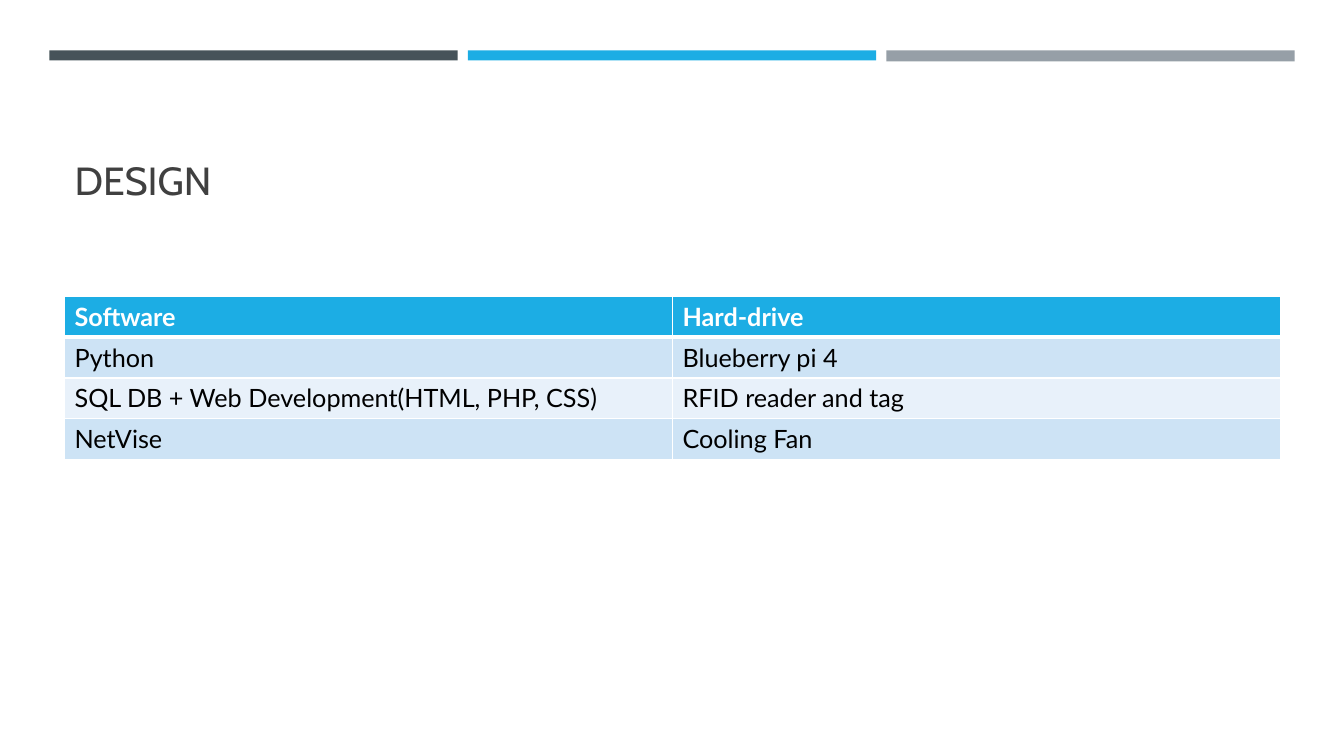
from dataclasses import dataclass

from lxml.etree import SubElement
from pptx import Presentation
from pptx.dml.color import RGBColor
from pptx.enum.shapes import MSO_SHAPE
from pptx.enum.text import MSO_ANCHOR, PP_ALIGN
from pptx.oxml.ns import qn
from pptx.slide import Slide
from pptx.table import _Cell
from pptx.text.text import _Paragraph
from pptx.util import Inches, Pt

SLATE = RGBColor(0x46, 0x53, 0x59)
BLUE = RGBColor(0x1C, 0xAD, 0xE4)
GRAY = RGBColor(0x96, 0x9F, 0xA7)
TITLE_GRAY = RGBColor(0x40, 0x40, 0x40)
WHITE = RGBColor(0xFF, 0xFF, 0xFF)
BLACK = RGBColor(0x00, 0x00, 0x00)
BAND_DARK = RGBColor(0xCD, 0xE3, 0xF5)
BAND_LIGHT = RGBColor(0xE8, 0xF1, 0xFA)

LEFT, CONTENT_WIDTH = 0.64, 12.06
TABLE_TOP, TABLE_HEIGHT = 2.94, 1.62
BAR_LEFT, BAR_TOP, BAR_WIDTH, BAR_STEP = 0.49, 0.5, 4.05, 4.15

COMPONENTS = [
    ("Software", "Hard-drive"),
    ("Python", "Blueberry pi 4"),
    ("SQL DB + Web Development(HTML, PHP, CSS)", "RFID reader and tag"),
    ("NetVise", "Cooling Fan"),
]


@dataclass(frozen=True)
class Bar:
    color: RGBColor
    height: float


@dataclass(frozen=True)
class TextStyle:
    font: str
    size: float
    color: RGBColor
    bold: bool = False


BARS = [Bar(SLATE, 0.1), Bar(BLUE, 0.1), Bar(GRAY, 0.11)]
TITLE_STYLE = TextStyle("Cabin", 28, TITLE_GRAY)
HEADER_STYLE = TextStyle("Lato", 18, WHITE, bold=True)
BODY_STYLE = TextStyle("Lato", 18, BLACK)


def add_text(paragraph: _Paragraph, text: str, style: TextStyle) -> None:
    run = paragraph.add_run()
    run.text = text
    run.font.name = style.font
    run.font.size = Pt(style.size)
    run.font.bold = style.bold
    run.font.color.rgb = style.color


def add_bar(slide: Slide, bar: Bar, left: float) -> None:
    shape = slide.shapes.add_shape(
        MSO_SHAPE.RECTANGLE, Inches(left), Inches(BAR_TOP), Inches(BAR_WIDTH), Inches(bar.height)
    )
    shape.shadow.inherit = False
    shape.fill.solid()
    shape.fill.fore_color.rgb = bar.color
    shape.line.fill.background()


def set_borders(cell: _Cell, top: float, bottom: float) -> None:
    properties = cell._tc.get_or_add_tcPr()
    widths = {"a:lnL": 1, "a:lnR": 1, "a:lnT": top, "a:lnB": bottom}
    for position, (tag, width) in enumerate(widths.items()):
        line = SubElement(properties, qn(tag), w=str(Pt(width)))
        fill = SubElement(line, qn("a:solidFill"))
        SubElement(fill, qn("a:srgbClr"), val=str(WHITE))
        properties.insert(position, line)


def add_title(slide: Slide, text: str) -> None:
    title = slide.shapes.title
    title.left, title.top = Inches(LEFT), Inches(0.77)
    title.width, title.height = Inches(CONTENT_WIDTH), Inches(1.3)
    title.text_frame.vertical_anchor = MSO_ANCHOR.BOTTOM
    paragraph = title.text_frame.paragraphs[0]
    paragraph.alignment = PP_ALIGN.LEFT
    add_text(paragraph, text, TITLE_STYLE)


def add_component_table(slide: Slide) -> None:
    table = slide.shapes.add_table(
        len(COMPONENTS), len(COMPONENTS[0]),
        Inches(LEFT), Inches(TABLE_TOP), Inches(CONTENT_WIDTH), Inches(TABLE_HEIGHT),
    ).table
    for row, texts in enumerate(COMPONENTS):
        is_header = row == 0
        band = BAND_DARK if row % 2 else BAND_LIGHT
        for column, text in enumerate(texts):
            cell = table.cell(row, column)
            cell.fill.solid()
            cell.fill.fore_color.rgb = BLUE if is_header else band
            set_borders(cell, top=3 if row == 1 else 1, bottom=3 if is_header else 1)
            style = HEADER_STYLE if is_header else BODY_STYLE
            add_text(cell.text_frame.paragraphs[0], text, style)


def main() -> None:
    presentation = Presentation()
    presentation.slide_width = Inches(13.33)
    presentation.slide_height = Inches(7.5)
    slide = presentation.slides.add_slide(presentation.slide_layouts[5])

    # Coloured bars across the top
    for index, bar in enumerate(BARS):
        add_bar(slide, bar, BAR_LEFT + index * BAR_STEP)

    # Title and table
    add_title(slide, "DESIGN")
    add_component_table(slide)

    presentation.save("out.pptx")


if __name__ == "__main__":
    main()
